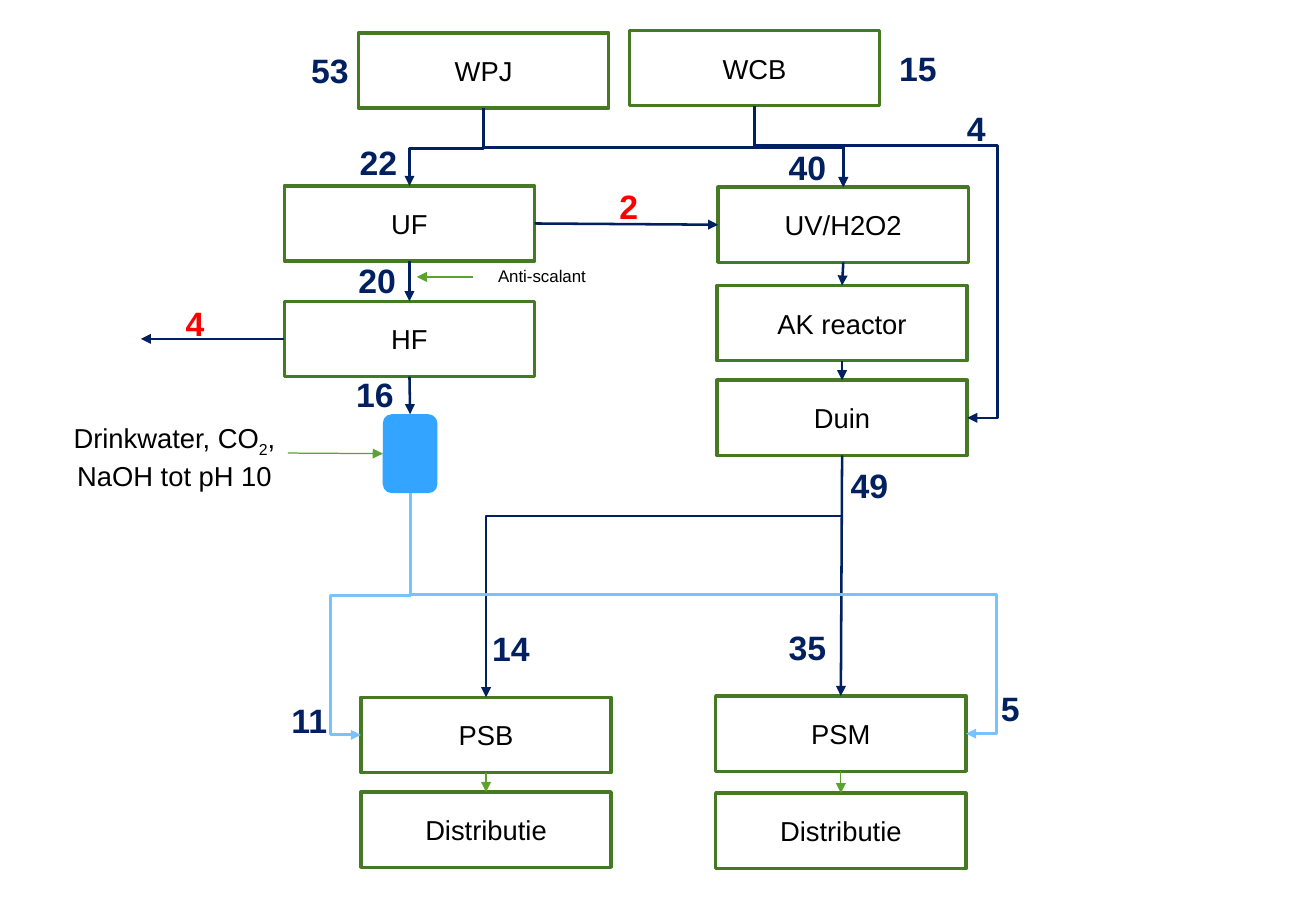
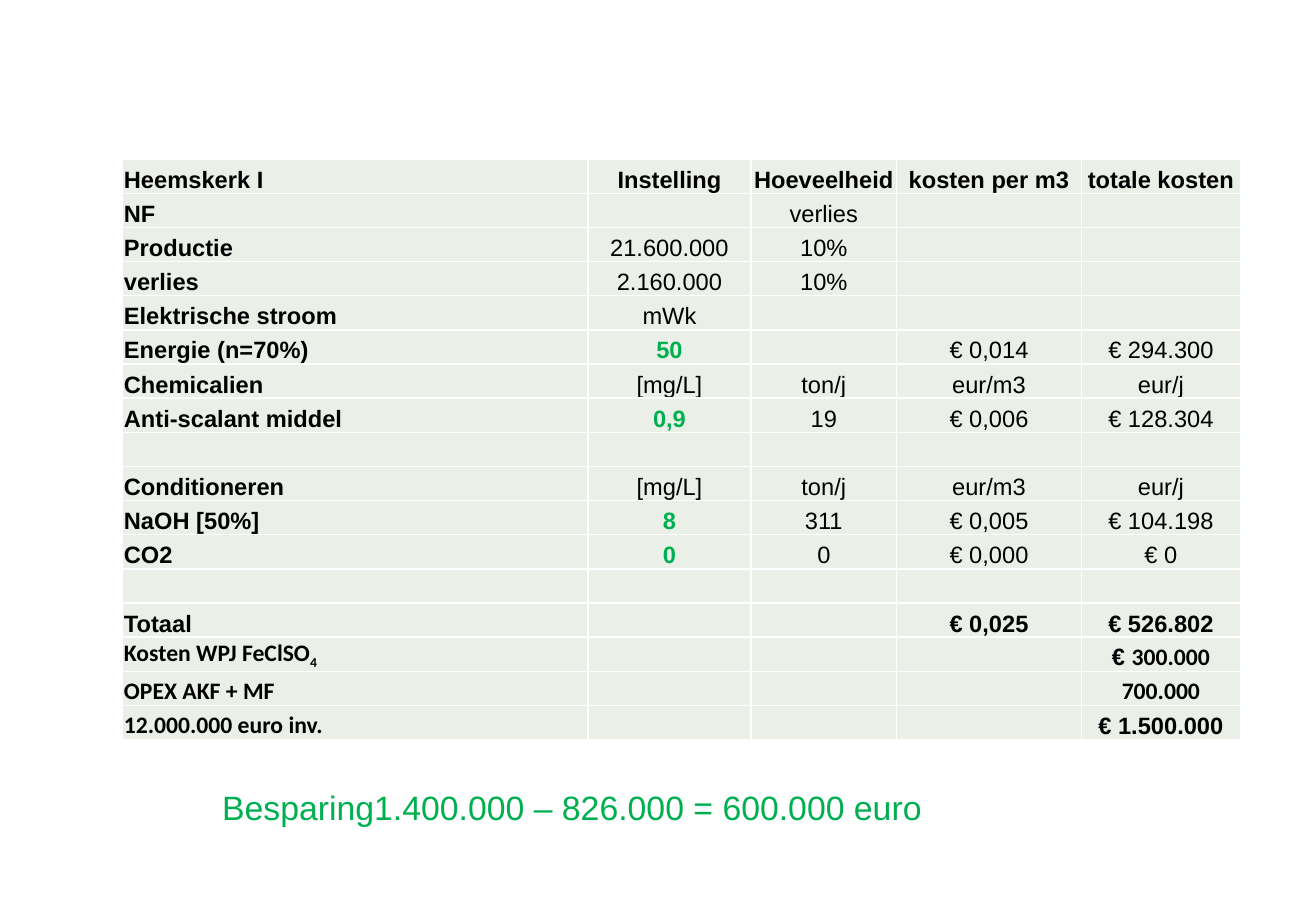
from dataclasses import dataclass, field
from typing import Any, NamedTuple

import lxml.etree
import pptx
import pptx.dml.color
import pptx.enum.shapes
import pptx.enum.text
import pptx.oxml.ns
import pptx.util

RGB = pptx.dml.color.RGBColor
SHAPE = pptx.enum.shapes.MSO_SHAPE
CONNECTOR = pptx.enum.shapes.MSO_CONNECTOR
ANCHOR = pptx.enum.text.MSO_ANCHOR
ALIGN = pptx.enum.text.PP_ALIGN
qn = pptx.oxml.ns.qn

# Shared look
WHITE = RGB(0xFF, 0xFF, 0xFF)
BLACK = RGB(0x00, 0x00, 0x00)
BOX_GREEN = RGB(0x46, 0x79, 0x23)
DOSING_GREEN = RGB(0x5B, 0xA3, 0x2B)
NAVY = RGB(0x00, 0x20, 0x60)
SKY = RGB(0x77, 0xC2, 0xFF)
MIXER_BLUE = RGB(0x33, 0xA4, 0xFF)
RED = RGB(0xFF, 0x00, 0x00)
ACCENT_GREEN = RGB(0x00, 0xB0, 0x50)
CELL_TINT = RGB(0xEA, 0xF0, 0xE8)
EMU_PER_PX = 9144  # 100 px to the inch


def px(length: int) -> int:
    return pptx.util.Emu(length * EMU_PER_PX)


class Run(NamedTuple):
    text: str
    font: str = "Arial"
    subscript: bool = False


Content = str | tuple[Run, ...]


class Box(NamedTuple):
    text: str
    left: int
    top: int
    width: int = 206
    height: int = 62


class Site(NamedTuple):
    index: int
    across: float
    down: float


TOP, LEFT = Site(0, 0.5, 0), Site(1, 0, 0.5)
BOTTOM, RIGHT = Site(2, 0.5, 1), Site(3, 1, 0.5)


class Port(NamedTuple):
    box: str
    site: Site


class Point(NamedTuple):
    x: int
    y: int


@dataclass(frozen=True)
class Flow:
    start: Port | Point
    end: Port | Point
    colour: RGB = NAVY
    weight: float = 1.5
    bends: tuple[int, ...] = ()  # elbow positions, thousandths of the span


@dataclass(frozen=True)
class Label:
    text: Content
    left: int
    top: int
    width: int = 57
    height: int = 44
    size: float = 20
    colour: RGB = NAVY
    bold: bool = True


@dataclass(frozen=True)
class CostRow:
    cells: dict[int, Content] = field(default_factory=dict)
    bold: bool = False
    tuned: bool = False  # the setting is an adjustable value


# Flow scheme
BOXES = {
    "wpj": Box("WPJ", 295, 27),
    "wcb": Box("WCB", 518, 25),
    "uf": Box("UF", 234, 153),
    "hf": Box("HF", 234, 248),
    "uv": Box("UV/H2O2", 591, 154),
    "ak": Box("AK reactor", 590, 235),
    "duin": Box("Duin", 590, 313),
    "psb": Box("PSB", 297, 574),
    "psm": Box("PSM", 589, 573),
    "psb_out": Box("Distributie", 297, 652),
    "psm_out": Box("Distributie", 589, 653),
    "mixer": Box("", 315, 341, 45, 65),
}
FLOWS = [
    Flow(Port("wpj", BOTTOM), Port("uf", TOP), bends=(518,)),
    Flow(Port("wpj", BOTTOM), Port("uv", TOP), bends=(500,)),
    Flow(Port("wcb", BOTTOM), Port("uv", TOP), bends=(500,)),
    Flow(Port("wcb", BOTTOM), Port("duin", RIGHT), bends=(127, 1143)),
    Flow(Port("uf", BOTTOM), Port("hf", TOP)),
    Flow(Port("uf", RIGHT), Port("uv", LEFT)),
    Flow(Port("hf", BOTTOM), Port("mixer", TOP)),
    Flow(Port("hf", LEFT), Point(116, 279)),
    Flow(Port("uv", BOTTOM), Port("ak", TOP)),
    Flow(Port("ak", BOTTOM), Port("duin", TOP)),
    Flow(Port("duin", BOTTOM), Port("psb", TOP), bends=(250,)),
    Flow(Port("duin", BOTTOM), Port("psm", TOP)),
    Flow(Port("mixer", BOTTOM), Port("psb", LEFT), SKY, 1.75, (422, 1619)),
    Flow(Port("mixer", BOTTOM), Port("psm", RIGHT), SKY, 1.75, (422, 1055)),
    Flow(Port("psb", BOTTOM), Port("psb_out", TOP), DOSING_GREEN, 0.75),
    Flow(Port("psm", BOTTOM), Port("psm_out", TOP), DOSING_GREEN, 0.75),
    Flow(Point(237, 373), Port("mixer", LEFT), DOSING_GREEN, 0.75),
    Flow(Point(389, 228), Point(343, 228), DOSING_GREEN, 0.75),
]
LABELS = [
    Label("53", 243, 36), Label("15", 727, 34), Label("22", 283, 112),
    Label("20", 282, 209), Label("16", 280, 303), Label("40", 636, 116),
    Label("4", 775, 84), Label("14", 392, 512), Label("11", 226, 571),
    Label("5", 803, 561), Label("49", 687, 378), Label("35", 636, 511),
    Label("4", 132, 244, colour=RED), Label("2", 489, 148, colour=RED),
    Label("Anti-scalant", 389, 214, 114, 27, 10, BLACK, False),
    Label((Run("Drinkwater, CO"), Run("2", subscript=True), Run(", NaOH tot pH 10")),
          44, 342, 199, 65, 16.2, BLACK, False),
]

# Cost table
COLUMN_WIDTHS = (383, 134, 120, 152, 131)
SETTING = 1
UNITS: dict[int, Content] = {1: "[mg/L]", 2: "ton/j", 3: "eur/m3", 4: "eur/j"}
COSTS = [
    CostRow({0: "Heemskerk I", 1: "Instelling", 2: "Hoeveelheid",
             3: "kosten per m3", 4: "totale kosten"}, bold=True),
    CostRow({0: "NF", 2: "verlies"}),
    CostRow({0: "Productie", 1: "21.600.000", 2: "10%"}),
    CostRow({0: "verlies", 1: "2.160.000", 2: "10%"}),
    CostRow({0: "Elektrische stroom", 1: "mWk"}),
    CostRow({0: "Energie (n=70%)", 1: "50", 3: "€ 0,014", 4: "€ 294.300"}, tuned=True),
    CostRow({0: "Chemicalien", **UNITS}),
    CostRow({0: "Anti-scalant middel", 1: "0,9", 2: "19",
             3: "€ 0,006", 4: "€ 128.304"}, tuned=True),
    CostRow(),
    CostRow({0: "Conditioneren", **UNITS}),
    CostRow({0: "NaOH [50%]", 1: "8", 2: "311", 3: "€ 0,005", 4: "€ 104.198"}, tuned=True),
    CostRow({0: "CO2", 1: "0", 2: "0", 3: "€ 0,000", 4: "€ 0"}, tuned=True),
    CostRow(),
    CostRow({0: "Totaal", 3: "€ 0,025", 4: "€ 526.802"}, bold=True),
    CostRow({0: (Run("Kosten WPJ FeClSO", "Calibri"), Run("4", "Calibri", True)),
             4: (Run("€ "), Run("300.000", "Calibri"))}, bold=True),
    CostRow({0: (Run("OPEX AKF + MF", "Calibri"),),
             4: (Run("700.000", "Calibri"),)}, bold=True),
    CostRow({0: (Run("12.000.000 euro inv.", "Calibri"),), 4: "€ 1.500.000"}, bold=True),
]
SAVING = Label("Besparing1.400.000 – 826.000 = 600.000 euro", 97, 643, 748,
               colour=ACCENT_GREEN, bold=False)


def apply(target: Any, values: dict[str, Any]) -> None:
    for name, value in values.items():
        setattr(target, name, value)


def write(frame: Any, content: Content, size: float, colour: RGB,
          bold: bool = False, align: Any = ALIGN.CENTER) -> None:
    paragraph = frame.paragraphs[0]
    paragraph.alignment = align
    for part in (Run(content),) if isinstance(content, str) else content:
        run = paragraph.add_run()
        run.text = part.text
        apply(run.font, {"name": part.font, "size": pptx.util.Pt(size), "bold": bold})
        run.font.color.rgb = colour
        if part.subscript:
            run._r.get_or_add_rPr().set("baseline", "-25000")


def draw_box(slide: Any, box: Box) -> Any:
    kind = SHAPE.RECTANGLE if box.text else SHAPE.ROUNDED_RECTANGLE
    step = slide.shapes.add_shape(kind, *map(px, box[1:]))
    step.shadow.inherit = False
    step.fill.solid()
    step.fill.fore_color.rgb = WHITE if box.text else MIXER_BLUE
    if box.text:
        step.line.color.rgb = BOX_GREEN
        step.line.width = pptx.util.Pt(2)
        step.text_frame.vertical_anchor = ANCHOR.MIDDLE
        write(step.text_frame, box.text, 16.2, BLACK)
    else:
        step.line.fill.background()
    return step


def locate(end: Port | Point, steps: dict[str, Any]) -> tuple[int, int]:
    if isinstance(end, Point):
        return px(end.x), px(end.y)
    step = steps[end.box]
    return (int(step.left + step.width * end.site.across),
            int(step.top + step.height * end.site.down))


def bend(arrow: Any, start: tuple[int, int], end: tuple[int, int],
         bends: tuple[int, ...]) -> None:
    """Turn an elbow so that it leaves its start downwards."""
    across, down = end[0] - start[0], end[1] - start[1]
    width, height = abs(down), abs(across)
    apply(arrow, {"left": (start[0] + end[0] - width) // 2,
                  "top": (start[1] + end[1] - height) // 2,
                  "width": width, "height": height})
    rightward = across > 0
    apply(arrow._element.spPr.xfrm, {"rot": 270 if rightward else 90,
                                     "flipH": rightward, "flipV": False})
    geometry = arrow._element.spPr.find(qn("a:prstGeom"))
    geometry.set("prst", f"bentConnector{len(bends) + 2}")
    adjusts = geometry.find(qn("a:avLst"))
    if adjusts is None:
        adjusts = lxml.etree.SubElement(geometry, qn("a:avLst"))
    for number, share in enumerate(bends, 1):
        lxml.etree.SubElement(adjusts, qn("a:gd"), name=f"adj{number}", fmla=f"val {share * 100}")


def draw_flow(slide: Any, flow: Flow, steps: dict[str, Any]) -> None:
    start, end = locate(flow.start, steps), locate(flow.end, steps)
    kind = CONNECTOR.ELBOW if flow.bends else CONNECTOR.STRAIGHT
    arrow = slide.shapes.add_connector(kind, *start, *end)
    for port, connect in ((flow.start, arrow.begin_connect), (flow.end, arrow.end_connect)):
        if isinstance(port, Port):
            connect(steps[port.box], port.site.index)
    if flow.bends:
        bend(arrow, start, end, flow.bends)
    arrow.line.color.rgb = flow.colour
    arrow.line.width = pptx.util.Pt(flow.weight)
    properties = arrow._element.spPr
    lxml.etree.SubElement(properties.find(qn("a:ln")), qn("a:tailEnd"), type="triangle")
    lxml.etree.SubElement(properties, qn("a:effectLst"))


def draw_label(slide: Any, label: Label) -> None:
    area = map(px, (label.left, label.top, label.width, label.height))
    frame = slide.shapes.add_textbox(*area).text_frame
    frame.word_wrap = True
    write(frame, label.text, label.size, label.colour, label.bold)


def draw_cell(cell: Any, row: CostRow, column: int) -> None:
    apply(cell, {"margin_left": px(1), "margin_right": px(1), "margin_top": px(1),
                 "margin_bottom": 0, "vertical_anchor": ANCHOR.BOTTOM})
    for side in ("a:lnL", "a:lnR", "a:lnT", "a:lnB"):
        border = lxml.etree.SubElement(cell._tc.get_or_add_tcPr(), qn(side), w="12700")
        ink = lxml.etree.SubElement(border, qn("a:solidFill"))
        lxml.etree.SubElement(ink, qn("a:srgbClr"), val=str(WHITE))
    cell.fill.solid()
    cell.fill.fore_color.rgb = CELL_TINT
    if column in row.cells:
        tuned = row.tuned and column == SETTING
        write(cell.text_frame, row.cells[column], 14, ACCENT_GREEN if tuned else BLACK,
              row.bold or tuned or column == 0, ALIGN.CENTER if column else ALIGN.LEFT)
    else:
        # Keep empty cells from stretching their row
        lxml.etree.SubElement(cell.text_frame.paragraphs[0]._p, qn("a:endParaRPr"), sz="1400")


def draw_costs(slide: Any) -> None:
    height = px(478)
    table = slide.shapes.add_table(len(COSTS), len(COLUMN_WIDTHS), px(101), px(131),
                                   px(sum(COLUMN_WIDTHS)), height).table
    for column, width in zip(table.columns, COLUMN_WIDTHS):
        column.width = px(width)
    for line, row in enumerate(COSTS):
        table.rows[line].height = height // len(COSTS)
        for column in range(len(COLUMN_WIDTHS)):
            draw_cell(table.cell(line, column), row, column)


def main() -> None:
    deck = pptx.Presentation()
    apply(deck, {"slide_width": px(1083), "slide_height": px(750)})
    blank = deck.slide_layouts[6]

    scheme = deck.slides.add_slide(blank)
    steps = {key: draw_box(scheme, box) for key, box in BOXES.items()}
    for flow in FLOWS:
        draw_flow(scheme, flow, steps)
    for label in LABELS:
        draw_label(scheme, label)

    costs = deck.slides.add_slide(blank)
    draw_costs(costs)
    draw_label(costs, SAVING)
    deck.save("out.pptx")


if __name__ == "__main__":
    main()
